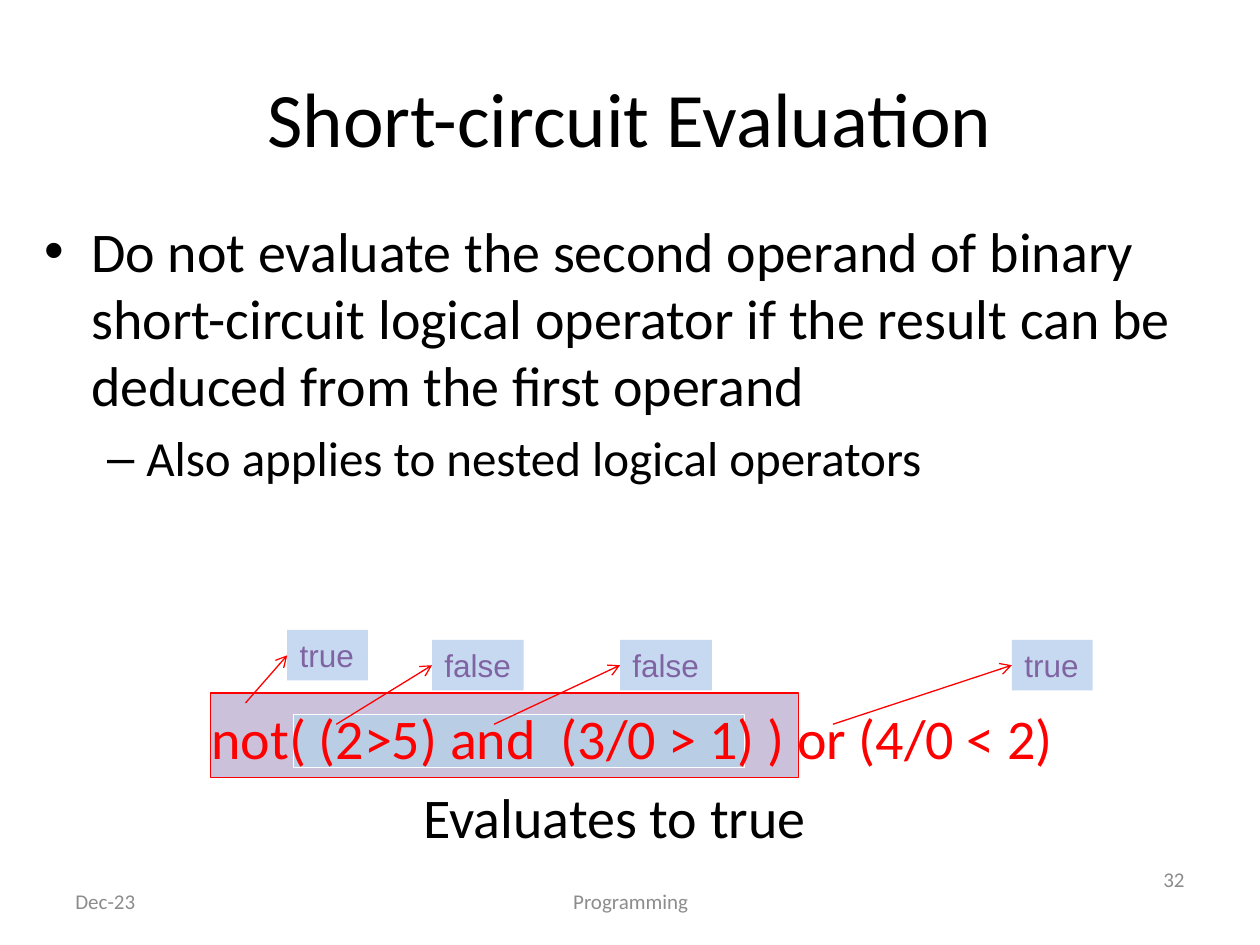
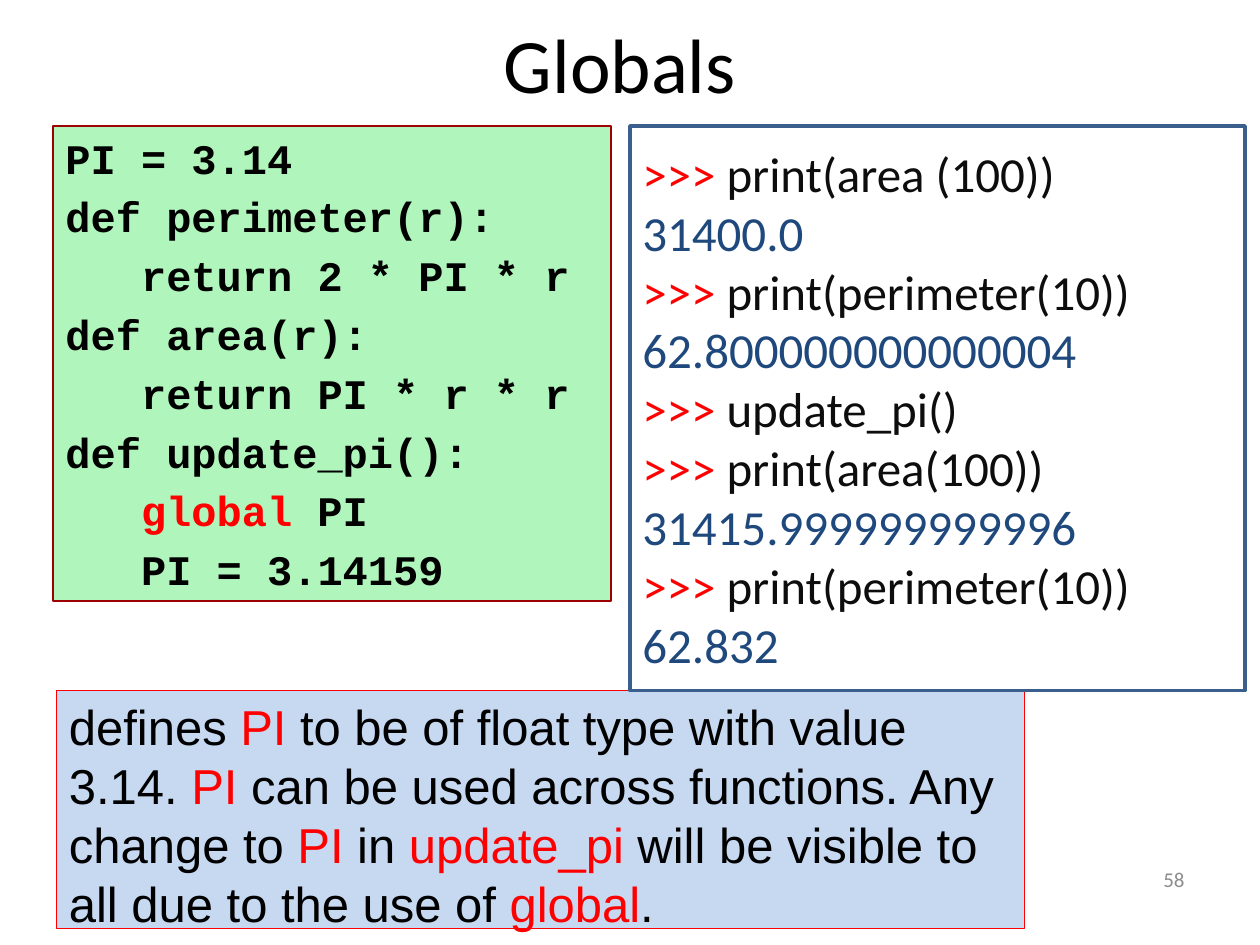
"""Build two lecture slides: short-circuit evaluation and global variables."""
from dataclasses import dataclass

from lxml.etree import SubElement
from pptx import Presentation
from pptx.dml.color import RGBColor
from pptx.enum.shapes import MSO_CONNECTOR as Link, MSO_SHAPE as Shape
from pptx.enum.text import MSO_ANCHOR as Anchor, PP_ALIGN as Align
from pptx.oxml.ns import qn
from pptx.util import Cm, Pt


@dataclass(frozen=True)
class Theme:
    black: str = "000000"
    red: str = "FF0000"
    grey: str = "8C8C8C"
    white: str = "FFFFFF"
    lilac: str = "CCC1DA"
    steel: str = "B9CDE5"
    sky: str = "C6D9F1"
    purple: str = "8064A2"
    mint: str = "B0F6BC"
    maroon: str = "9D0000"
    navy: str = "3A5F8C"
    typed: str = "0D0D0D"
    output: str = "1F497D"
    sans: str = "Calibri"
    note: str = "Arial"
    mono: str = "Courier New"
    title: int = 44
    body: int = 32
    sub: int = 28
    code: int = 24
    label: int = 18
    footer: int = 12
    gap: float = 0.2
    hairline: float = 0.75


theme = Theme()


def place_box(page, area, fill=None, line=None, weight=theme.hairline):
    left, top, width, height = map(Cm, area)
    if not fill:
        return page.shapes.add_textbox(left, top, width, height)
    box = page.shapes.add_shape(Shape.RECTANGLE, left, top, width, height)
    box.shadow.inherit = False
    box.fill.solid()
    box.fill.fore_color.rgb = RGBColor.from_string(fill)
    if line:
        box.line.color.rgb = RGBColor.from_string(line)
        box.line.width = Pt(weight)
    else:
        box.line.fill.background()
    return box


def write(box, lines, size, font=theme.sans, align=Align.LEFT, anchor=Anchor.TOP,
          gap=0, bold=False, wrap=True):
    frame = box.text_frame
    frame.word_wrap = wrap
    frame.vertical_anchor = anchor
    for index, line in enumerate(lines):
        para = frame.add_paragraph() if index else frame.paragraphs[0]
        para.alignment = align
        para.space_before = Pt(gap * size if index else 0)
        for text, colour in line:
            span = para.add_run()
            span.text = text
            span.font.name = font
            span.font.size = Pt(size)
            span.font.bold = bold
            span.font.color.rgb = RGBColor.from_string(colour)
    return frame


deck = Presentation()
deck.slide_width, deck.slide_height = Cm(25.4), Cm(19.05)
slides = [
    ("Short-circuit Evaluation", (1.27, 0.76, 22.86, 3.18), "32"),
    ("Globals", (1.07, 0, 22.86, 2.54), "58"),
]
pages = []
for title, title_area, number in slides:
    page = deck.slides.add_slide(deck.slide_layouts[6])
    write(place_box(page, title_area), [[(title, theme.black)]], theme.title,
          align=Align.CENTER, anchor=Anchor.MIDDLE)
    write(place_box(page, (18.21, 17.22, 5.92, 1.02)), [[(number, theme.grey)]],
          theme.footer, align=Align.RIGHT, anchor=Anchor.MIDDLE)
    pages.append(page)
logic_page, globals_page = pages

for text, left, width, align in [
    ("Dec-23", 1.27, 5.92, Align.LEFT),
    ("Programming", 8.69, 8.05, Align.CENTER),
]:
    write(place_box(logic_page, (left, 17.65, width, 1.02)), [[(text, theme.grey)]],
          theme.footer, align=align, anchor=Anchor.MIDDLE)

place_box(logic_page, (4.24, 13.97, 11.86, 1.7), theme.lilac, theme.red)
place_box(logic_page, (5.92, 14.4, 9.09, 1.07), theme.steel, theme.white)

rules = write(place_box(logic_page, (0.64, 4.24, 23.5, 6)), [
    [("Do not evaluate the second operand of binary short-circuit logical operator "
      "if the result can be deduced from the first operand", theme.black)],
    [("Also applies to nested logical operators", theme.black)],
], theme.body)
rules.paragraphs[1].space_before = Pt(theme.gap * theme.sub)
bullets = [("•", 0.95, theme.body), ("–", 2.06, theme.sub)]
for level, (para, (mark, margin, size)) in enumerate(zip(rules.paragraphs, bullets)):
    para.level = level
    props = para._p.get_or_add_pPr()
    props.set("marL", str(Cm(margin)))
    props.set("indent", str(-Cm(0.79 if level else 0.95)))
    SubElement(props, qn("a:buFont")).set("typeface", theme.note)
    SubElement(props, qn("a:buChar")).set("char", mark)
    para.runs[0].font.size = Pt(size)

result = write(place_box(logic_page, (0.64, 14.06, 23.5, 3.2)), [
    [("not( (2>5) and  (3/0 > 1) ) or (4/0 < 2)", theme.red)],
    [("Evaluates to true", theme.black)],
], theme.body, align=Align.CENTER, gap=theme.gap)
result.paragraphs[0]._p.get_or_add_pPr().set("marL", str(Cm(0.73)))

for value, left, top, width, start_x, start_y in [
    ("false", 8.71, 12.9, 1.85, 6.78, 14.6),
    ("false", 12.5, 12.9, 1.85, 9.96, 14.6),
    ("true", 5.79, 12.7, 1.63, 4.95, 14.17),
    ("true", 20.4, 12.9, 1.63, 16.79, 14.6),
]:
    label = place_box(logic_page, (left, top, width, 1.02), theme.sky)
    write(label, [[(value, theme.purple)]], theme.label, theme.note, wrap=False)
    arrow = logic_page.shapes.add_connector(
        Link.STRAIGHT, Cm(start_x), Cm(start_y), Cm(left), Cm(top + 0.51))
    arrow.end_connect(label, 1)
    arrow.line.color.rgb = RGBColor.from_string(theme.red)
    arrow.line.width = Pt(theme.hairline)
    SubElement(arrow.line._get_or_add_ln(), qn("a:tailEnd")).set("type", "arrow")
    SubElement(arrow._element.spPr, qn("a:effectLst"))

code = [[(text, theme.black)] for text in (
    "PI = 3.14",
    "def perimeter(r):",
    "   return 2 * PI * r",
    "def area(r):",
    "   return PI * r * r",
    "def update_pi():",
)]
code += [
    [("   ", theme.black), ("global", theme.red), (" PI", theme.black)],
    [("   PI = 3.14159", theme.black)],
]
write(place_box(globals_page, (1.07, 2.54, 11.25, 9.58), theme.mint, theme.maroon),
      code, theme.code, theme.mono, gap=theme.gap, bold=True)

remark = [
    ("defines ", theme.black), ("PI", theme.red),
    (" to be of float type with value 3.14. ", theme.black), ("PI", theme.red),
    (" can be used across functions. Any change to ", theme.black), ("PI", theme.red),
    (" in ", theme.black), ("update_pi ", theme.red),
    ("will be visible to all due to the use of ", theme.black),
    ("global", theme.red), (".", theme.black),
]
write(place_box(globals_page, (1.14, 13.92, 19.51, 4.8), theme.sky, theme.red),
      [remark], theme.sub, theme.note)

session = []
for command, answer in [
    ("print(area (100))", "31400.0"),
    ("print(perimeter(10))", "62.800000000000004"),
    ("update_pi()", None),
    ("print(area(100))", "31415.999999999996"),
    ("print(perimeter(10))", "62.832"),
]:
    session.append([(">>> ", theme.red), (command, theme.typed)])
    if answer:
        session.append([(answer, theme.output)])
write(place_box(globals_page, (12.7, 2.54, 12.4, 11.38), theme.white, theme.navy, 2),
      session, theme.sub, anchor=Anchor.MIDDLE)

deck.save("out.pptx")
